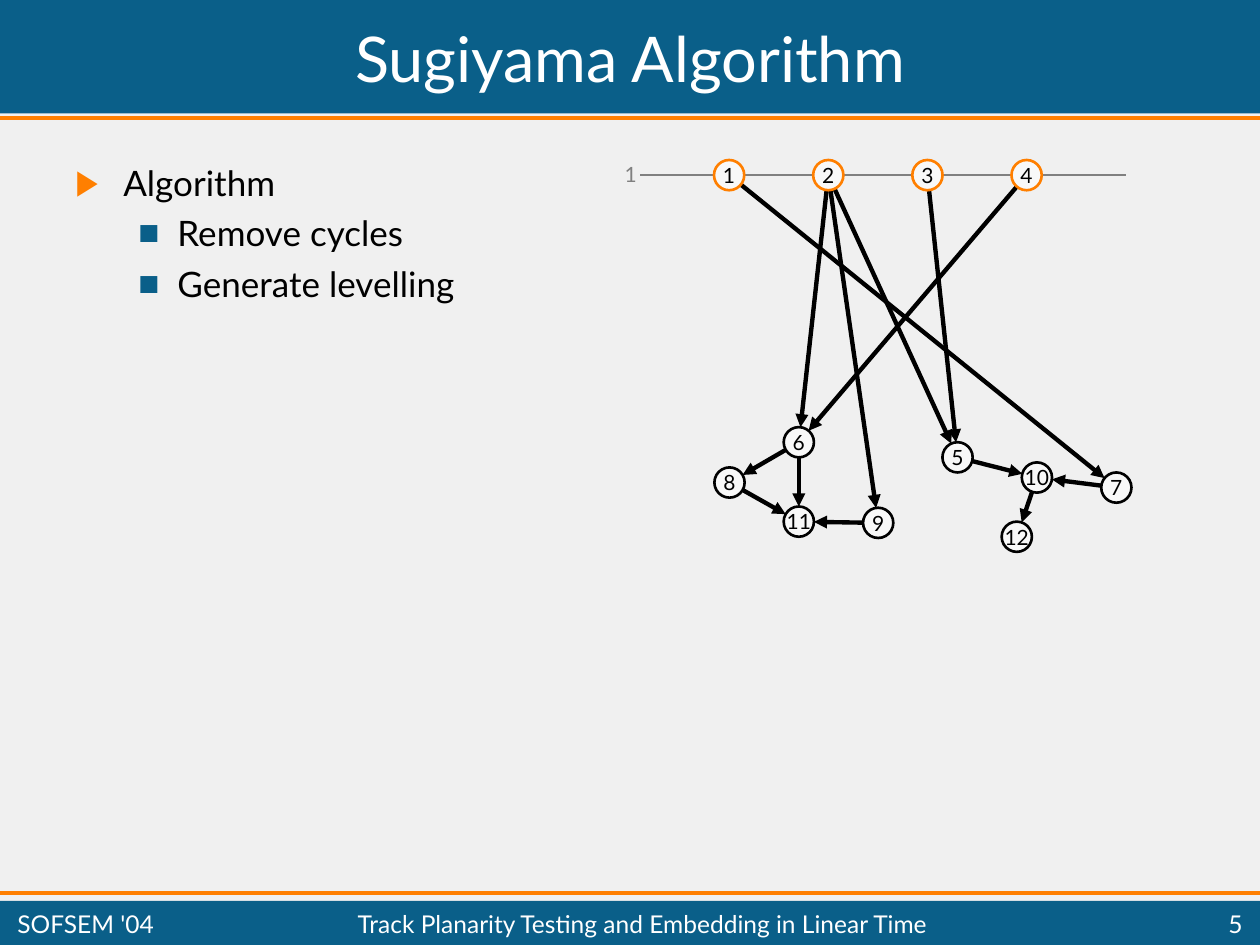
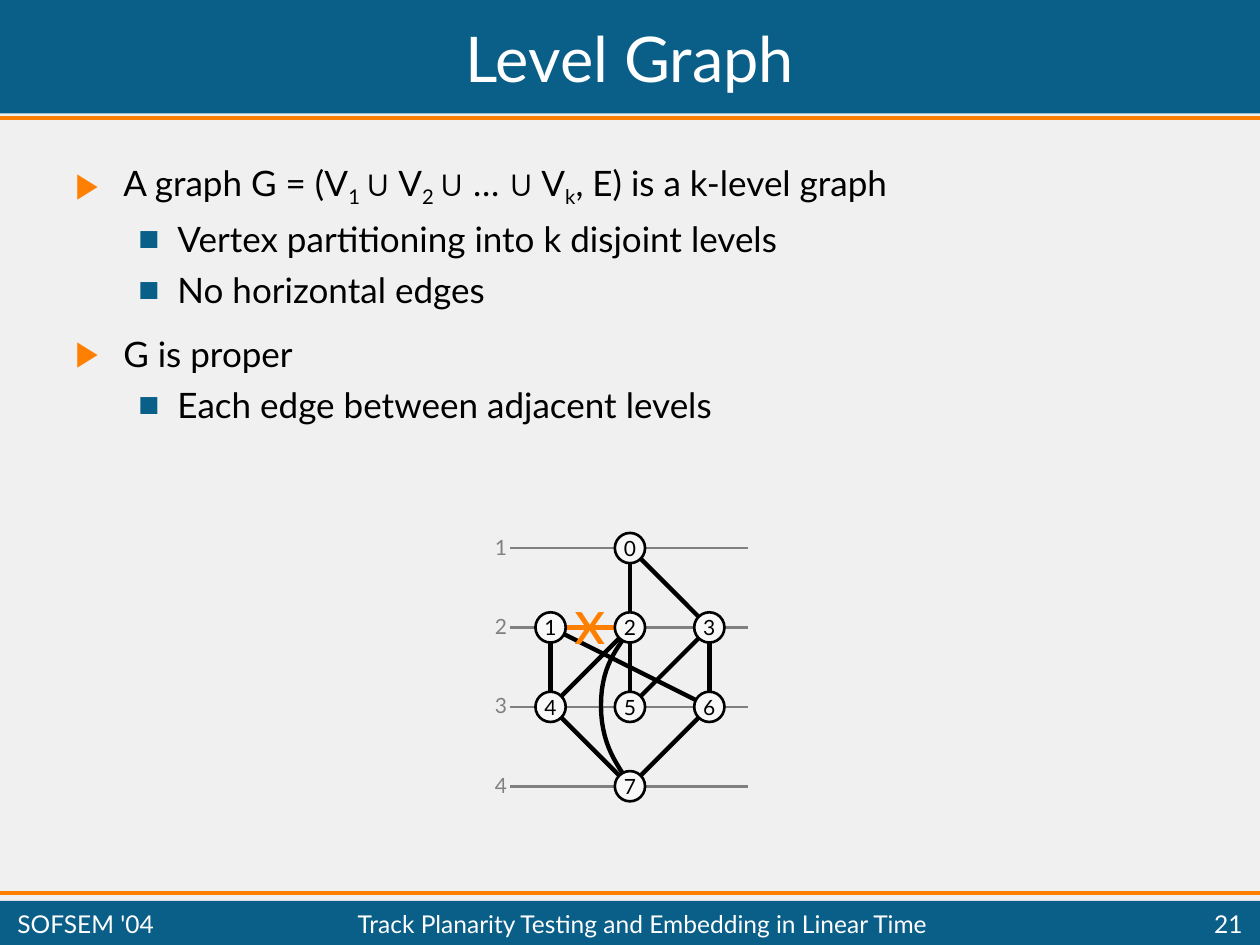
import math

import lxml.etree
import pptx
import pptx.dml.color
import pptx.enum.shapes
import pptx.enum.text
import pptx.oxml.ns
import pptx.util

Inches = pptx.util.Inches
Pt = pptx.util.Pt
Align = pptx.enum.text.PP_ALIGN
Anchor = pptx.enum.text.MSO_ANCHOR
Shape = pptx.enum.shapes.MSO_SHAPE

BLUE, ORANGE, GREY = "0A5F89", "FF7F00", "808080"
BLACK, WHITE, PAPER, NODE = "000000", "FFFFFF", "F0F0F0", "F8F8F8"
FONT, SYMBOL_FONT = "Lato", "Arial"
RADIUS = 0.12

# Per bullet level: symbol, colour, text indent, hanging indent, space before
BULLETS = [("▶", ORANGE, 0.38, 0.38, 12.5), ("■", BLUE, 0.81, 0.31, 5)]


def color(value):
    return pptx.dml.color.RGBColor.from_string(value)


def add_xml(parent, tag, **attributes):
    name = pptx.oxml.ns.qn(tag)
    return lxml.etree.SubElement(parent, name, attributes)


def bezier(start, control1, control2, end, steps=16):
    """Return points along a cubic curve, without its start."""
    points = []
    for step in range(1, steps + 1):
        t = step / steps
        weights = ((1 - t) ** 3, 3 * t * (1 - t) ** 2, 3 * t * t * (1 - t), t ** 3)
        points.append(tuple(
            sum(weight * value for weight, value in zip(weights, values))
            for values in zip(start, control1, control2, end)))
    return points


class Deck:
    """Holds the presentation, its shared style and the current slide."""

    def __init__(self):
        self.presentation = pptx.Presentation()
        self.presentation.slide_width = Inches(10)
        self.presentation.slide_height = Inches(7.5)
        self.slide = None

    def start_slide(self, title, number):
        layout = self.presentation.slide_layouts[6]
        self.slide = self.presentation.slides.add_slide(layout)
        background = self.slide.background.fill
        background.solid()
        background.fore_color.rgb = color(PAPER)
        self.band(0, 0.9)
        self.band(7.15, 0.35)
        for y in (0.94, 7.09):
            self.line((0, y), (10, y), ORANGE, 2.25)
        self.text(title, 0.04, 0.04, 9.92, 0.83, 36, align=Align.CENTER)
        footers = [("SOFSEM '04", 0.04, 1.44, Align.LEFT),
                   ("Track Planarity Testing and Embedding in Linear Time",
                    1.5, 7.2, Align.CENTER),
                   (str(number), 8.78, 1.18, Align.RIGHT)]
        for text, left, width, align in footers:
            self.text(text, left, 7.19, width, 0.28, 14, align=align)

    def band(self, top, height):
        band = self.slide.shapes.add_shape(
            Shape.RECTANGLE, 0, Inches(top), Inches(10), Inches(height))
        band.shadow.inherit = False
        band.fill.solid()
        band.fill.fore_color.rgb = color(BLUE)
        band.line.fill.background()

    def style_run(self, run, size, text_color):
        run.font.name = SYMBOL_FONT if run.text == "∪" else FONT
        run.font.size = Pt(size)
        run.font.color.rgb = color(text_color)

    def text(self, text, left, top, width, height, size, text_color=WHITE,
             align=Align.LEFT, anchor=Anchor.MIDDLE, wrap=True):
        box = self.slide.shapes.add_textbox(
            Inches(left), Inches(top), Inches(width), Inches(height))
        frame = box.text_frame
        frame.word_wrap = wrap
        frame.vertical_anchor = anchor
        frame.text = text
        paragraph = frame.paragraphs[0]
        paragraph.alignment = align
        self.style_run(paragraph.runs[0], size, text_color)

    def bullets(self, items, width, height):
        """Add (level, text) items; a text may be a list of (text, baseline) runs."""
        box = self.slide.shapes.add_textbox(
            Inches(0.5), Inches(1.23), Inches(width), Inches(height))
        frame = box.text_frame
        frame.word_wrap = True
        for index, (level, content) in enumerate(items):
            paragraph = frame.paragraphs[0] if index == 0 else frame.add_paragraph()
            symbol, bullet_color, indent, hanging, space = BULLETS[level]
            paragraph.level = level
            if index:
                paragraph.space_before = Pt(space)
            properties = paragraph._p.get_or_add_pPr()
            properties.set("marL", str(Inches(indent)))
            properties.set("indent", str(-Inches(hanging)))
            add_xml(add_xml(properties, "a:buClr"), "a:srgbClr", val=bullet_color)
            add_xml(properties, "a:buFont", typeface=SYMBOL_FONT)
            add_xml(properties, "a:buChar", char=symbol)
            runs = [(content, 0)] if isinstance(content, str) else content
            for text, baseline in runs:
                run = paragraph.add_run()
                run.text = text
                self.style_run(run, 20, BLACK)
                if baseline:
                    run._r.get_or_add_rPr().set("baseline", str(baseline * 1000))

    def line(self, start, end, line_color=BLACK, width=2.5, arrow=False):
        line = self.slide.shapes.add_connector(
            pptx.enum.shapes.MSO_CONNECTOR.STRAIGHT,
            *(Inches(value) for value in (*start, *end)))
        line.line.color.rgb = color(line_color)
        line.line.width = Pt(width)
        if arrow:
            add_xml(line.line._get_or_add_ln(), "a:tailEnd", type="triangle")
        add_xml(line._element.spPr, "a:effectLst")

    def arrow(self, start, center):
        """Draw an arrow that stops at the rim of the node around center."""
        dx, dy = center[0] - start[0], center[1] - start[1]
        share = 1 - RADIUS / math.hypot(dx, dy)
        self.line(start, (start[0] + dx * share, start[1] + dy * share), arrow=True)

    def curve(self, points):
        emu = [(Inches(x), Inches(y)) for x, y in points]
        builder = self.slide.shapes.build_freeform(*emu[0])
        builder.add_line_segments(emu[1:], close=False)
        curve = builder.convert_to_shape()
        curve.shadow.inherit = False
        curve.fill.background()
        curve.line.color.rgb = color(BLACK)
        curve.line.width = Pt(2.5)

    def node(self, label, center, outline=BLACK):
        x, y = center
        node = self.slide.shapes.add_shape(
            Shape.OVAL, Inches(x - RADIUS), Inches(y - RADIUS),
            Inches(2 * RADIUS), Inches(2 * RADIUS))
        node.shadow.inherit = False
        node.fill.solid()
        node.fill.fore_color.rgb = color(NODE)
        node.line.color.rgb = color(outline)
        node.line.width = Pt(1.5)
        frame = node.text_frame
        frame.word_wrap = False
        frame.vertical_anchor = Anchor.MIDDLE
        frame.text = str(label)
        frame.paragraphs[0].alignment = Align.CENTER
        self.style_run(frame.paragraphs[0].runs[0], 12, BLACK)

    def level(self, label, left, right, y):
        """Draw a numbered level line."""
        self.line((left, y), (right, y), GREY, 1.5)
        self.text(str(label), left - 0.22, y - 0.16, 0.29, 0.3, 12, GREY,
                  anchor=Anchor.TOP, wrap=False)


def build_sugiyama(deck):
    deck.start_slide("Sugiyama Algorithm", 5)
    deck.bullets([(0, "Algorithm"), (1, "Remove cycles"),
                  (1, "Generate levelling")], 4.49, 5.67)
    sources = {label: (5.0 + 0.787 * label, 1.39) for label in range(1, 5)}
    others = {5: (7.6, 3.63), 6: (6.34, 3.51), 7: (8.86, 3.87), 8: (5.79, 3.83),
              9: (6.97, 4.15), 10: (8.23, 3.79), 11: (6.34, 4.14), 12: (8.07, 4.26)}
    centers = {**sources, **others}
    edges = [(6, 11), (9, 11), (6, 8), (10, 12), (3, 5), (1, 7), (7, 10),
             (5, 10), (4, 6), (2, 6), (8, 11), (2, 5), (2, 9)]
    deck.level(1, 5.08, 8.94, 1.39)
    for tail, head in edges:
        deck.arrow(centers[tail], centers[head])
    for label, center in centers.items():
        deck.node(label, center, ORANGE if label in sources else BLACK)


def build_level_graph(deck):
    deck.start_slide("Level Graph", 21)
    definition = [("A graph G = (V", 0), ("1 ", -25), ("∪", 0), (" V", 0),
                  ("2 ", -25), ("∪", 0), (" … ", 0), ("∪", 0), (" V", 0),
                  ("k", -25), (", E) is a k-level graph", 0)]
    deck.bullets([(0, definition),
                  (1, "Vertex partitioning into k disjoint levels"),
                  (1, "No horizontal edges"),
                  (0, "G is proper"),
                  (1, "Each edge between adjacent levels")], 9.11, 2.21)
    columns = (4.37, 5, 5.63)
    rows = [4.35 + 0.63 * row for row in range(4)]
    grid = [(1, 0), (0, 1), (1, 1), (2, 1), (0, 2), (1, 2), (2, 2), (1, 3)]
    centers = [(columns[column], rows[row]) for column, row in grid]
    for label, y in enumerate(rows, start=1):
        deck.level(label, 4.05, 5.94, y)
    edges = [(1, 6), (2, 4), (3, 5), (6, 7), (0, 3), (4, 7), (3, 6), (2, 5),
             (1, 4), (0, 2)]
    for first, second in edges:
        deck.line(centers[first], centers[second])
    bend = (4.77, 5.6)
    deck.curve([centers[7]]
               + bezier(centers[7], (4.96, 6.13), (4.77, 5.97), bend)
               + bezier(bend, (4.77, 5.23), (4.95, 5.11), centers[2]))
    deck.line(centers[1], centers[2], ORANGE)
    for label, center in enumerate(centers):
        deck.node(label, center)
    deck.text("x", 4.46, 4.57, 0.34, 0.7, 36, ORANGE, anchor=Anchor.TOP)


def main():
    deck = Deck()
    build_sugiyama(deck)
    build_level_graph(deck)
    deck.presentation.save("out.pptx")


if __name__ == "__main__":
    main()
